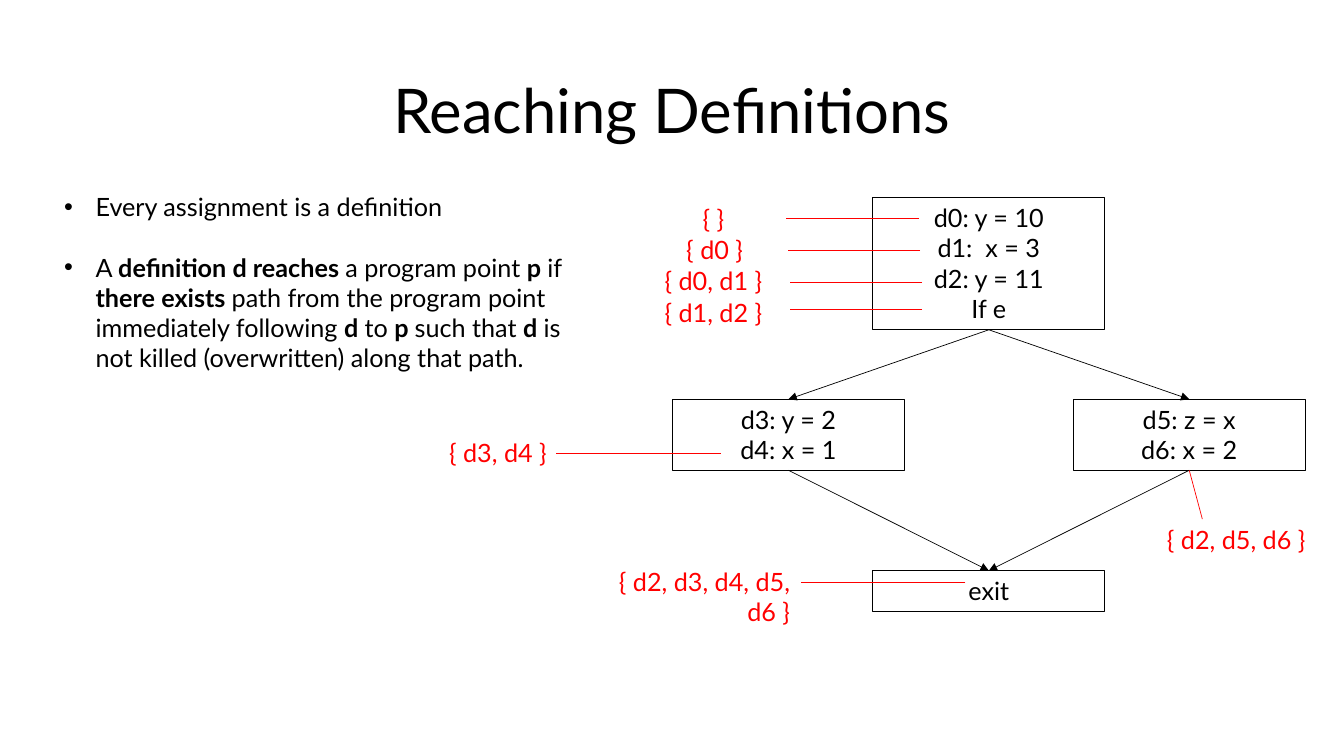
from pptx import Presentation
from pptx.dml.color import RGBColor
from pptx.enum.shapes import MSO_CONNECTOR, MSO_SHAPE
from pptx.enum.text import MSO_ANCHOR, MSO_AUTO_SIZE, PP_ALIGN
from pptx.oxml.ns import qn
from pptx.util import Cm, Pt
from lxml.etree import SubElement

BLACK = RGBColor(0, 0, 0)
RED = RGBColor(255, 0, 0)
FONT = "Lato"
TOP, BOTTOM = 0, 2  # connection sites of a rectangle

# Basic blocks: left, top, height (cm), code lines
WIDTH = 5.84
BLOCKS = {
    "entry": (22, 4.98, 3.33, ["d0: y = 10", "d1:  x = 3", "d2: y = 11", "If e"]),
    "then": (16.95, 10.06, 1.79, ["d3: y = 2", "d4: x = 1"]),
    "else": (27.05, 10.06, 1.79, ["d5: z = x", "d6: x = 2"]),
    "exit": (22, 14.38, 1.02, ["exit"]),
}
FLOW = [("entry", "then"), ("entry", "else"), ("then", "exit"), ("else", "exit")]

# Reaching sets: text, left, top, width, alignment, line ends (cm)
SETS = [
    ("{ }", 16.15, 5, 3.66, PP_ALIGN.CENTER, (23.16, 5.51, 19.81, 5.51)),
    ("{ d0 }", 16.18, 5.77, 3.66, PP_ALIGN.CENTER, (23.19, 6.3, 19.86, 6.3)),
    ("{ d0, d1 }", 16.15, 6.55, 3.66, PP_ALIGN.CENTER, (23.24, 7.11, 19.91, 7.11)),
    ("{ d1, d2 }", 16.15, 7.37, 3.66, PP_ALIGN.CENTER, (23.24, 7.8, 19.91, 7.8)),
    ("{ d3, d4 }", 8.31, 10.9, 5.72, PP_ALIGN.RIGHT, (18.16, 11.43, 14.02, 11.43)),
    ("{ d2, d5, d6 }", 27.43, 13.08, 5.72, PP_ALIGN.RIGHT, (29.97, 11.85, 30.3, 13.08)),
    ("{ d2, d3, d4, d5, d6 }", 14.22, 14.15, 5.94, PP_ALIGN.RIGHT,
     (24.33, 14.68, 20.19, 14.68)),
]

# Bullets as (text, bold) runs
POINTS = [
    [("Every assignment is a definition", False)],
    [("A ", False), ("definition d reaches ", True), ("a program point ", False),
     ("p ", True), ("if ", False), ("there exists ", True),
     ("path from the program point immediately following ", False),
     ("d ", True), ("to ", False), ("p ", True), ("such that ", False),
     ("d ", True), ("is not killed (overwritten) along that path.", False)],
]


def add_run(para, text, color=BLACK, size=18, bold=False):
    run = para.add_run()
    run.text = text
    font = run.font
    font.name, font.size, font.bold = FONT, Pt(size), bold
    font.color.rgb = color


def add_paras(frame, paras, align, color=BLACK):
    """Fill a frame with paragraphs, each a list of (text, bold) runs."""
    frame.word_wrap = True
    frame.auto_size = MSO_AUTO_SIZE.SHAPE_TO_FIT_TEXT
    frame.vertical_anchor = MSO_ANCHOR.TOP
    for i, runs in enumerate(paras):
        para = frame.add_paragraph() if i else frame.paragraphs[0]
        para.alignment = align
        for text, bold in runs:
            add_run(para, text, color, bold=bold)


def add_title(slide, text):
    title = slide.shapes.title
    title.left, title.top, title.width, title.height = (
        Cm(2.33), Cm(1.01), Cm(29.21), Cm(3.68))
    title.text_frame.vertical_anchor = MSO_ANCHOR.MIDDLE
    para = title.text_frame.paragraphs[0]
    para.alignment, para.line_spacing = PP_ALIGN.CENTER, 0.9
    add_run(para, text, size=44)


def add_text(slide, left, top, width, height, paras, align, color=BLACK):
    box = slide.shapes.add_textbox(Cm(left), Cm(top), Cm(width), Cm(height))
    add_paras(box.text_frame, paras, align, color)
    return box.text_frame


def add_points(slide):
    frame = add_text(slide, 1.37, 4.7, 13.94, 4.87, POINTS, PP_ALIGN.LEFT)
    for i, para in enumerate(frame.paragraphs):
        para.space_before = Pt(21.6 * i)
        props = para._p.get_or_add_pPr()
        props.set("marL", str(Cm(0.79)))
        props.set("indent", str(-Cm(0.79)))
        SubElement(props, qn("a:buFont"), typeface="Arial")
        SubElement(props, qn("a:buChar"), char="•")


def add_block(slide, left, top, height, lines):
    block = slide.shapes.add_shape(
        MSO_SHAPE.RECTANGLE, Cm(left), Cm(top), Cm(WIDTH), Cm(height))
    block.shadow.inherit = False
    block.fill.background()
    block.line.color.rgb = BLACK
    block.line.width = Pt(0.75)
    add_paras(block.text_frame, [[(line, False)] for line in lines], PP_ALIGN.CENTER)
    return block


def add_line(slide, color, ends=(0, 0, 0, 0)):
    line = slide.shapes.add_connector(MSO_CONNECTOR.STRAIGHT, *map(Cm, ends))
    line.line.color.rgb = color
    line.line.width = Pt(0.5)
    SubElement(line._element.spPr, qn("a:effectLst"))
    return line


def add_arrow(slide, start, end):
    arrow = add_line(slide, BLACK)
    arrow.begin_connect(start, BOTTOM)
    arrow.end_connect(end, TOP)
    SubElement(arrow.line._get_or_add_ln(), qn("a:tailEnd"), type="triangle")


def main():
    deck = Presentation()
    deck.slide_width, deck.slide_height = Cm(33.87), Cm(19.05)
    slide = deck.slides.add_slide(deck.slide_layouts[5])

    add_title(slide, "Reaching Definitions")
    add_points(slide)

    # Control flow graph
    blocks = {name: add_block(slide, *data) for name, data in BLOCKS.items()}
    for start, end in FLOW:
        add_arrow(slide, blocks[start], blocks[end])

    # Sets with their pointer lines
    for text, left, top, width, align, ends in SETS:
        add_text(slide, left, top, width, 1.02, [[(text, False)]], align, RED)
        add_line(slide, RED, ends)

    deck.save("out.pptx")


main()
